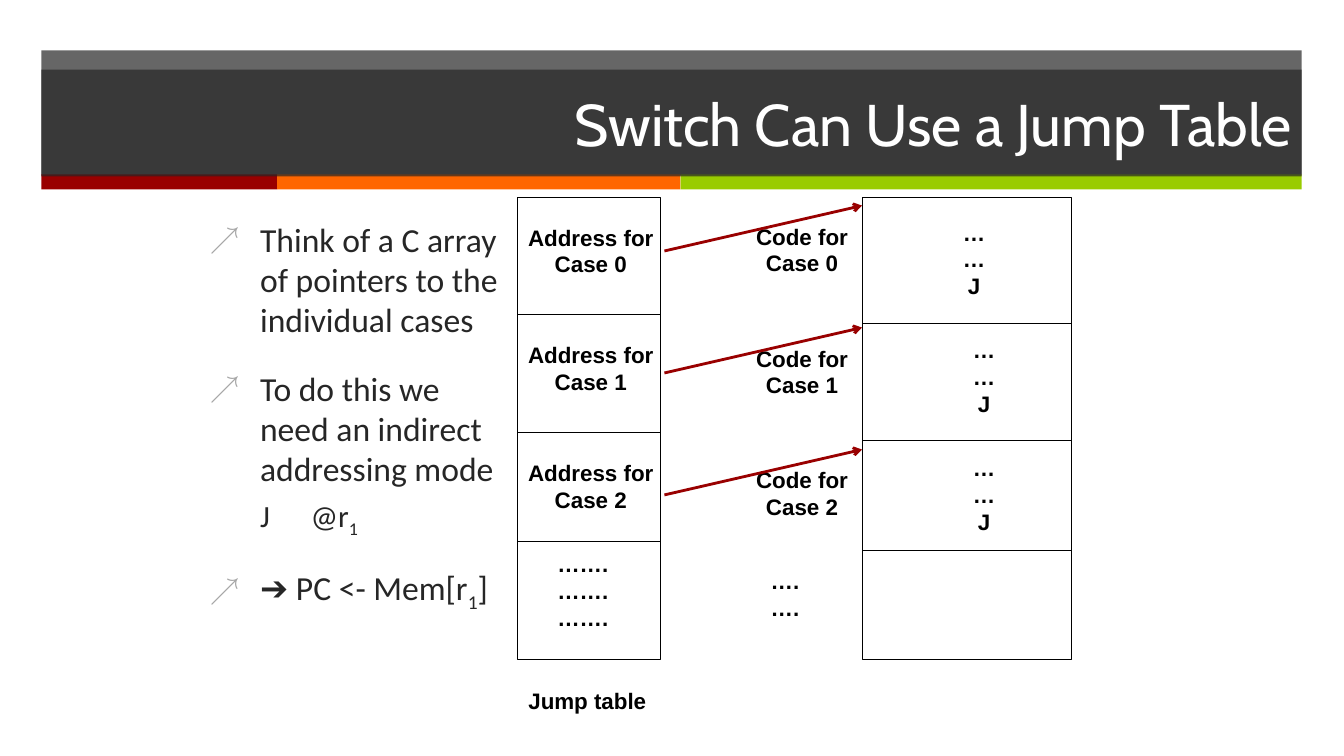
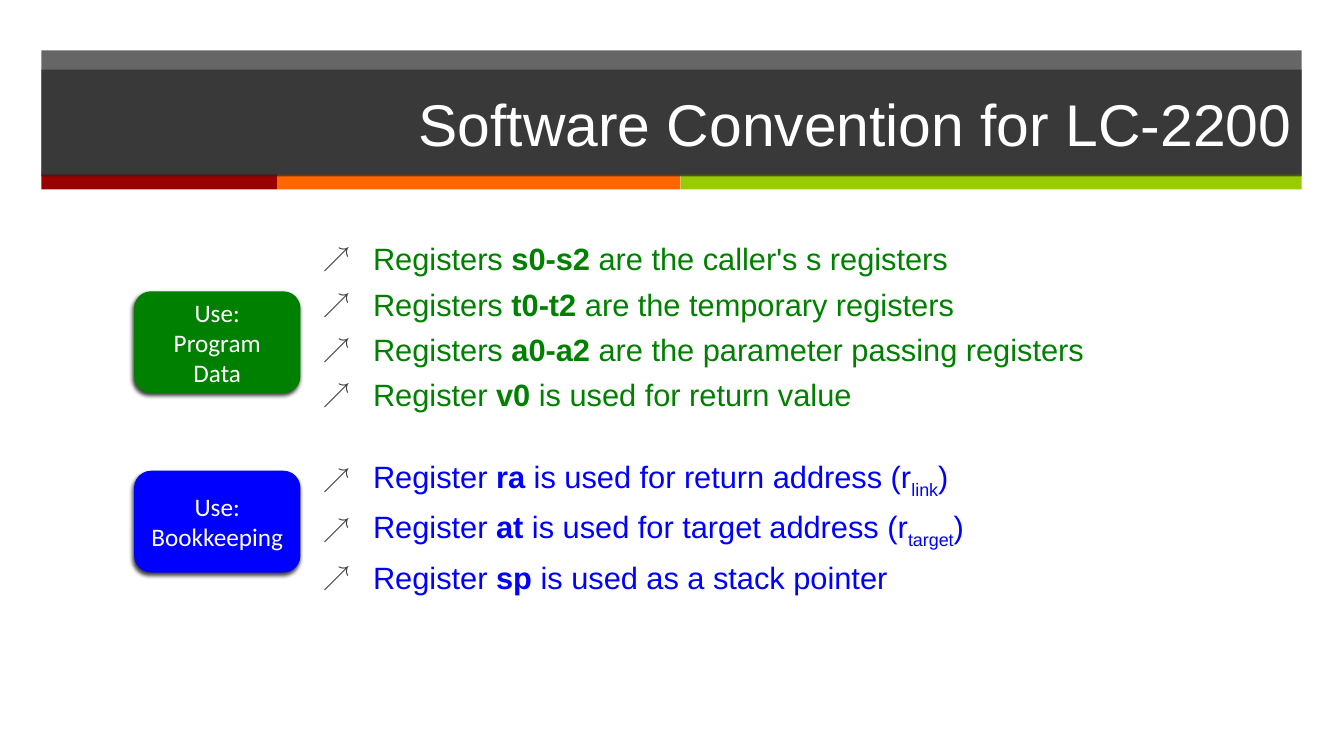
from itertools import accumulate
from typing import NamedTuple

from lxml.etree import SubElement
from pptx import Presentation
from pptx.dml.color import RGBColor
from pptx.enum.shapes import MSO_CONNECTOR, MSO_SHAPE
from pptx.enum.text import MSO_ANCHOR, MSO_AUTO_SIZE, PP_ALIGN
from pptx.oxml.ns import qn
from pptx.util import Pt

EMU_PER_PX = 9144  # 100 px to the inch

COLORS = {
    "bar": "262626",
    "red": "990000",
    "orange": "FF6600",
    "lime": "99CC00",
    "black": "000000",
    "white": "FFFFFF",
    "body": "262626",
    "pale_bullet": "A6A6A6",
    "dark_bullet": "404040",
    "green": "008000",
    "blue": "0000FF",
}


class Box(NamedTuple):
    left: int
    top: int
    width: int
    height: int


class Run(NamedTuple):
    text: str
    bold: bool = False
    subscript: bool = False


class Item(NamedTuple):
    """One paragraph of a list; left, indent and tabs are px, size and before are points."""
    runs: list[Run]
    font: str
    size: int
    color: str
    left: int
    indent: int
    before: int
    bullet_color: str | None = None
    level: int = 0
    tabs: tuple[int, ...] = ()


class Column(NamedTuple):
    """A block of memory divided into cells."""
    box: Box
    dividers: tuple[int, ...]


class Badge(NamedTuple):
    lines: str
    top: int
    color: str


TITLE_BOX = Box(41, 69, 1250, 106)
BAR_BOX = Box(41, 50, 1250, 124)
STRIPS = {"red": 234, "orange": 400, "lime": 616}
STRIP_TOP, STRIP_HEIGHT = 173, 15


def px(length: int) -> int:
    return length * EMU_PER_PX


def rgb(name: str) -> RGBColor:
    return RGBColor.from_string(COLORS[name])


def place(shape, box: Box) -> None:
    shape.left, shape.top, shape.width, shape.height = map(px, box)


def fill_solid(shape, color: str, opacity: int = 100) -> None:
    shape.fill.solid()
    shape.fill.fore_color.rgb = rgb(color)
    if opacity < 100:
        color_element = shape.element.spPr.find(f".//{qn('a:srgbClr')}")
        SubElement(color_element, qn("a:alpha"), val=str(opacity * 1000))


def style(paragraph, font: str, size: int, color: str, bold: bool | None = None) -> None:
    paragraph.font.name = font
    paragraph.font.size = Pt(size)
    paragraph.font.bold = bold
    paragraph.font.color.rgb = rgb(color)


def add_box(slide, box: Box, color: str | None = None, opacity: int = 100,
            preset: MSO_SHAPE = MSO_SHAPE.RECTANGLE):
    """Add a filled shape, or a thin black outline when no color is given."""
    shape = slide.shapes.add_shape(preset, *map(px, box))
    shape.shadow.inherit = False
    if color:
        fill_solid(shape, color, opacity)
        shape.line.fill.background()
    else:
        shape.fill.background()
        shape.line.color.rgb = rgb("black")
        shape.line.width = Pt(0.75)
    return shape


def add_line(slide, start: tuple[int, int], end: tuple[int, int],
             color: str = "black", width: float = 0.75, arrow: bool = False) -> None:
    connector = slide.shapes.add_connector(
        MSO_CONNECTOR.STRAIGHT, *map(px, (*start, *end)))
    connector.line.color.rgb = rgb(color)
    connector.line.width = Pt(width)
    properties = connector.element.spPr
    if arrow:
        SubElement(properties.find(qn("a:ln")), qn("a:tailEnd"), type="arrow")
    SubElement(properties, qn("a:effectLst"))


def add_label(slide, text: str, box: Box) -> None:
    shape = slide.shapes.add_textbox(*map(px, box))
    frame = shape.text_frame
    frame.word_wrap = False
    frame.auto_size = MSO_AUTO_SIZE.SHAPE_TO_FIT_TEXT
    frame.text = text
    for paragraph in frame.paragraphs:
        paragraph.alignment = PP_ALIGN.CENTER
        style(paragraph, "Arial", 16, "black", bold=True)


def add_column(slide, column: Column) -> None:
    add_box(slide, column.box)
    right = column.box.left + column.box.width
    for y in column.dividers:
        add_line(slide, (column.box.left, y), (right, y))


def add_badge(slide, badge: Badge) -> None:
    shape = add_box(slide, Box(133, badge.top, 165, 101), badge.color,
                    preset=MSO_SHAPE.ROUNDED_RECTANGLE)
    effects = shape.element.spPr.find(qn("a:effectLst"))
    shadow = SubElement(effects, qn("a:outerShdw"), blurRad=str(Pt(3)),
                        dist=str(Pt(2)), dir=str(110 * 60000), rotWithShape="0")
    shadow_color = SubElement(shadow, qn("a:srgbClr"), val=COLORS["black"])
    SubElement(shadow_color, qn("a:alpha"), val="75000")
    frame = shape.text_frame
    frame.word_wrap = True
    frame.vertical_anchor = MSO_ANCHOR.MIDDLE
    frame.text = badge.lines
    for paragraph in frame.paragraphs:
        paragraph.alignment = PP_ALIGN.CENTER
        style(paragraph, "Calibri", 18, "white")


def add_bands(slide) -> None:
    """Draw the header bands and hand them to the slide's layout, behind its placeholders."""
    shapes = [add_box(slide, BAR_BOX, "bar", 70)]
    edges = accumulate(STRIPS.values(), initial=BAR_BOX.left)
    for (color, width), left in zip(STRIPS.items(), edges):
        shapes.append(add_box(slide, Box(left, STRIP_TOP, width, STRIP_HEIGHT), color))
    tree = slide.slide_layout.shapes.element
    for index, shape in enumerate(shapes):
        shape.element.nvSpPr.cNvPr.set("id", str(100 + index))
        tree.insert(2 + index, shape.element)


def set_title(slide, text: str, font: str) -> None:
    title = slide.shapes.title
    place(title, TITLE_BOX)
    fill_solid(title, "bar", 70)
    frame = title.text_frame
    frame.text = text
    frame.auto_size = MSO_AUTO_SIZE.NONE
    frame.vertical_anchor = MSO_ANCHOR.MIDDLE
    paragraph = frame.paragraphs[0]
    paragraph.alignment = PP_ALIGN.RIGHT
    style(paragraph, font, 42, "white")


def format_item(paragraph, item: Item) -> None:
    paragraph.level = item.level
    paragraph.space_before = Pt(item.before)
    properties = paragraph._p.get_or_add_pPr()
    properties.set("marL", str(px(item.left)))
    properties.set("indent", str(px(item.indent)))
    if item.bullet_color:
        bullet_color = SubElement(properties, qn("a:buClr"))
        SubElement(bullet_color, qn("a:srgbClr"), val=COLORS[item.bullet_color])
        SubElement(properties, qn("a:buSzPct"), val="90000")
        SubElement(properties, qn("a:buChar"), char="↗")
    else:
        SubElement(properties, qn("a:buNone"))
    if item.tabs:
        tab_list = SubElement(properties, qn("a:tabLst"))
        for tab in item.tabs:
            SubElement(tab_list, qn("a:tab"), pos=str(px(tab)), algn="l")
    style(paragraph, item.font, item.size, item.color)
    for part in item.runs:
        run = paragraph.add_run()
        run.text = part.text
        if part.bold:
            run.font.bold = True
        if part.subscript:
            run._r.get_or_add_rPr().set("baseline", "-25000")


def set_body(slide, box: Box, items: list[Item]) -> None:
    body = slide.placeholders[1]
    place(body, box)
    frame = body.text_frame
    frame.word_wrap = True
    frame.auto_size = MSO_AUTO_SIZE.NONE
    for index, item in enumerate(items):
        paragraph = frame.add_paragraph() if index else frame.paragraphs[0]
        format_item(paragraph, item)


def point(*runs: Run, before: int = 20) -> Item:
    return Item(list(runs), "Calibri", 24, "body", 50, -50, before, "pale_bullet")


def register(color: str, lead: str, name: str, *rest: Run, before: int = 6) -> Item:
    runs = [Run(lead), Run(name, bold=True), *rest]
    return Item(runs, "Arial", 22, color, 100, -50, before, "dark_bullet", level=1)


def build_jump_table(slide) -> None:
    set_title(slide, "Switch Can Use a Jump Table", "Cabin")
    one = Run("1", subscript=True)
    set_body(slide, Box(198, 212, 315, 513), [
        point(Run("Think of a C array of pointers to the individual cases"), before=0),
        point(Run("To do this we need an indirect addressing mode")),
        Item([Run("\tJ\t@r"), one], "Calibri", 22, "body", 0, 0, 6, level=1,
             tabs=(150, 182)),
        point(Run("➔ PC <- Mem[r"), one, Run("]")),
    ])
    add_column(slide, Column(Box(513, 196, 142, 458), (312, 429, 537)))
    add_column(slide, Column(Box(855, 196, 208, 458), (321, 437, 546)))
    cell_pitch, arrow_pitch = 117, 121
    for case, code_left in enumerate((920, 930, 930)):
        cell_shift, arrow_shift = case * cell_pitch, case * arrow_pitch
        add_label(slide, f"Address for\nCase {case}", Box(513, 217 + cell_shift, 146, 64))
        add_label(slide, f"Code for\nCase {case}", Box(739, 216 + arrow_shift, 113, 64))
        add_label(slide, "…\n…\nJ", Box(code_left, 212 + cell_shift, 92, 91))
        add_line(slide, (659, 249 + arrow_shift), (855, 204 + arrow_shift),
                 "red", 2, arrow=True)
    add_label(slide, "…….\n…….\n…….", Box(539, 541, 78, 91))
    add_label(slide, "….\n….", Box(754, 558, 49, 64))
    add_label(slide, "Jump table", Box(513, 677, 139, 37))


def build_software_convention(slide) -> None:
    set_title(slide, "Software Convention for LC-2200", "Arial")
    set_body(slide, Box(260, 233, 1032, 437), [
        register("green", "Registers ", "s0-s2", Run(" are the caller's s registers"), before=0),
        register("green", "Registers ", "t0-t2", Run(" are the temporary registers")),
        register("green", "Registers ", "a0-a2", Run(" are the parameter passing registers")),
        register("green", "Register ", "v0", Run(" is used for return value")),
        register("blue", "Register ", "ra", Run(" is used for return address (r"),
                 Run("link", subscript=True), Run(")"), before=32),
        register("blue", "Register ", "at", Run(" is used for target address (r"),
                 Run("target", subscript=True), Run(")")),
        register("blue", "Register ", "sp", Run(" is used as a stack pointer")),
    ])
    add_badge(slide, Badge("Use:\nProgram Data", 289, "green"))
    add_badge(slide, Badge("Use:\nBookkeeping", 467, "blue"))


def main() -> None:
    presentation = Presentation()
    presentation.slide_width, presentation.slide_height = px(1333), px(750)
    layout = presentation.slide_layouts[1]
    jump_table = presentation.slides.add_slide(layout)
    add_bands(jump_table)
    build_jump_table(jump_table)
    build_software_convention(presentation.slides.add_slide(layout))
    presentation.save("out.pptx")


if __name__ == "__main__":
    main()
